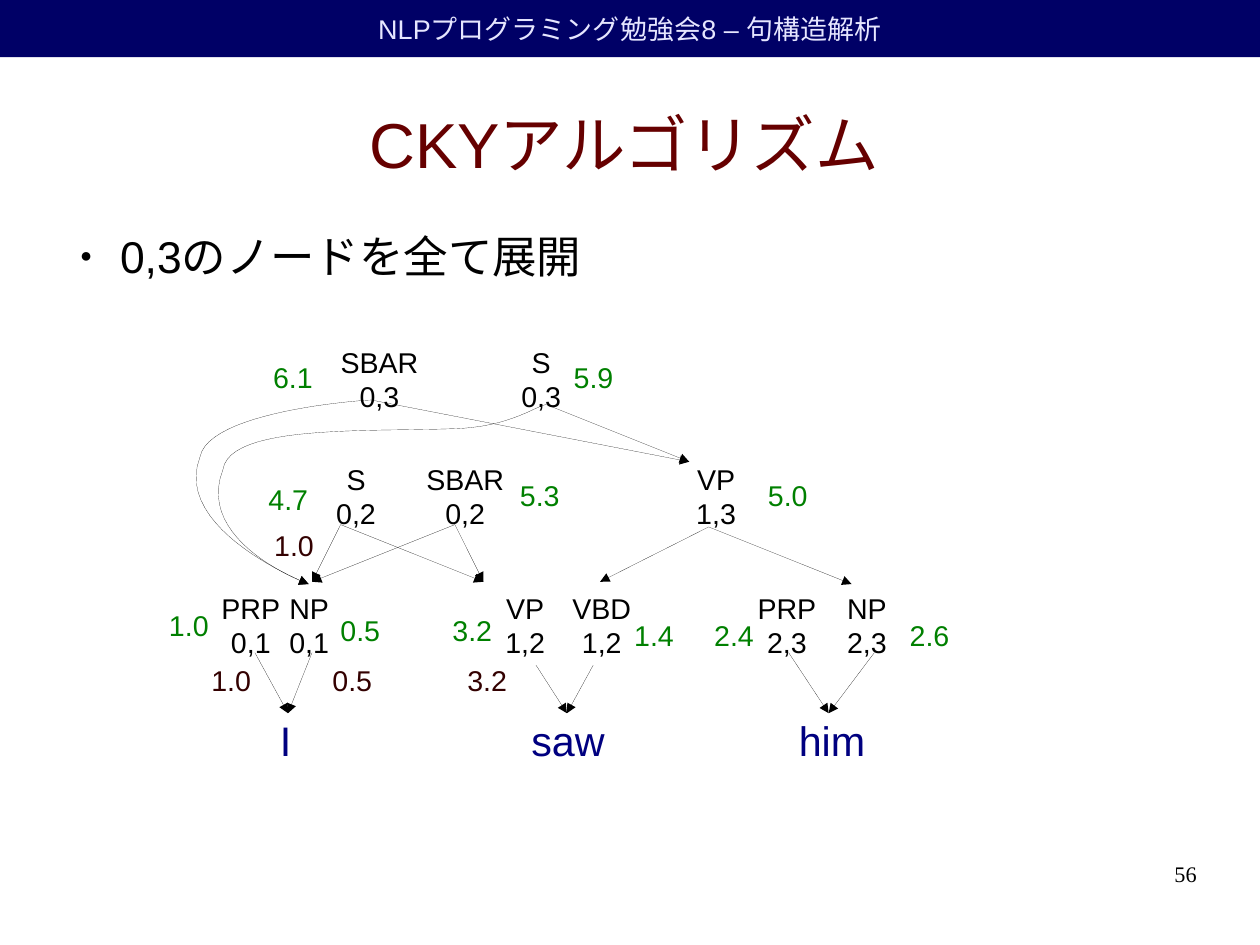
from lxml.etree import SubElement
from pptx import Presentation
from pptx.dml.color import RGBColor
from pptx.enum.shapes import MSO_CONNECTOR, MSO_SHAPE
from pptx.enum.text import MSO_ANCHOR, MSO_AUTO_SIZE, PP_ALIGN
from pptx.oxml.ns import qn
from pptx.util import Inches, Pt

SLIDE_WIDTH, SLIDE_HEIGHT = 28 / 2.54, 21 / 2.54
BLACK, NAVY, GREEN, BROWN = "000000", "000080", "008000", "330000"
ROW_TOPS = {"0,3": 0, "0,2": 1.02, "1,3": 1.02, "0,1": 2.15, "1,2": 2.15, "2,3": 2.15}
LABEL_WIDTHS = {1: 0.55, 2: 0.55, 3: 0.73, 4: 0.88}

# label, span, left
NODES = [
    ("SBAR", "0,3", 1.88), ("S", "0,3", 3.46),
    ("S", "0,2", 1.84), ("SBAR", "0,2", 2.63), ("VP", "1,3", 4.99),
    ("PRP", "0,1", 0.83), ("NP", "0,1", 1.43), ("VP", "1,2", 3.32),
    ("VBD", "1,2", 3.9), ("PRP", "2,3", 5.52), ("NP", "2,3", 6.31),
]
# word, centre x
WORDS = [("I", 1.5), ("saw", 3.97), ("him", 6.28)]
# score, left, top
SCORES = {
    GREEN: [
        ("6.1", 1.29, 0.13), ("5.9", 3.92, 0.13),
        ("4.7", 1.25, 1.2), ("5.3", 3.45, 1.16), ("5.0", 5.62, 1.16),
        ("1.0", 0.38, 2.3), ("0.5", 1.88, 2.34), ("3.2", 2.86, 2.34),
        ("1.4", 4.45, 2.39), ("2.4", 5.15, 2.39), ("2.6", 6.86, 2.39),
    ],
    BROWN: [("1.0", 1.3, 1.6), ("1.0", 0.75, 2.78),
            ("0.5", 1.81, 2.78), ("3.2", 2.99, 2.78)],
}
# start point: end points
EDGES = {
    (2.25, 0.53): [(5.03, 1.07)],
    (3.78, 0.57): [(5.03, 1.07)],
    (1.98, 1.62): [(1.73, 2.12), (3.23, 2.12)],
    (2.98, 1.62): [(1.73, 2.12), (3.23, 2.12)],
    (5.2, 1.64): [(4.25, 2.12), (6.45, 2.14)],
    (1.23, 2.74): [(1.52, 3.27)],
    (1.73, 2.74): [(1.52, 3.27)],
    (3.69, 2.85): [(3.96, 3.27)],
    (4.19, 2.85): [(3.96, 3.27)],
    (5.9, 2.74): [(6.25, 3.27)],
    (6.65, 2.74): [(6.25, 3.27)],
}
# start point, then two control points and an end point for each bend
CURVED_EDGES = [
    [(2.25, 0.53), (2.16, 0.53), (0.82, 0.63), (0.75, 1.03),
     (0.5, 1.67), (1.7, 2.14), (1.7, 2.14)],
    [(3.78, 0.57), (3.69, 0.58), (3.47, 0.76), (3, 0.78),
     (2.22, 0.81), (1.01, 0.74), (0.95, 1.14),
     (0.7, 1.78), (1.7, 2.14), (1.7, 2.14)],
]


def color(value):
    return RGBColor.from_string(value)


def style(paragraph, size, value, align=PP_ALIGN.LEFT, font="Arial"):
    paragraph.alignment = align
    for run in paragraph.runs:
        run.font.name = font
        run.font.size = Pt(size)
        run.font.color.rgb = color(value)


def add_label(slide, text, box, size, value, align=PP_ALIGN.LEFT):
    """Add an unwrapped diagram label that fits its text."""
    frame = slide.shapes.add_textbox(*map(Inches, box)).text_frame
    frame.word_wrap = False
    frame.auto_size = MSO_AUTO_SIZE.SHAPE_TO_FIT_TEXT
    frame.text = text
    for paragraph in frame.paragraphs:
        style(paragraph, size, value, align)


def add_text_area(slide, text, box, anchor=MSO_ANCHOR.TOP):
    """Add a wrapped text area without margins and return its paragraph."""
    frame = slide.shapes.add_textbox(*map(Inches, box)).text_frame
    frame.word_wrap = True
    frame.vertical_anchor = anchor
    frame.margin_left = frame.margin_right = 0
    frame.margin_top = frame.margin_bottom = 0
    frame.text = text
    return frame.paragraphs[0]


def style_arrow(edge):
    """Give the edge a hairline with an arrowhead at its end."""
    edge.line.color.rgb = color(BLACK)
    hairline = edge.line._get_or_add_ln()
    hairline.set("w", "0")
    SubElement(hairline, qn("a:tailEnd"), type="triangle")


def curve_points(knots, steps=24):
    """Yield points along a chain of cubic Bezier bends."""
    for first in range(0, len(knots) - 1, 3):
        bend = knots[first:first + 4]
        for step in range(1, steps + 1):
            t = step / steps
            weights = ((1 - t) ** 3, 3 * t * (1 - t) ** 2, 3 * t * t * (1 - t), t ** 3)
            yield tuple(sum(w * knot[axis] for w, knot in zip(weights, bend))
                        for axis in (0, 1))


def add_header(slide, box):
    banner = slide.shapes.add_shape(MSO_SHAPE.RECTANGLE, *map(Inches, box))
    banner.shadow.inherit = False
    banner.fill.solid()
    banner.fill.fore_color.rgb = color("000066")
    banner.line.fill.background()
    banner.text_frame.vertical_anchor = MSO_ANCHOR.MIDDLE
    banner.text_frame.text = "NLPプログラミング勉強会8 – 句構造解析"
    style(banner.text_frame.paragraphs[0], 17, "E6E6FF", PP_ALIGN.CENTER)


def add_title(slide, box):
    title = add_text_area(slide, "CKYアルゴリズム", box, MSO_ANCHOR.MIDDLE)
    style(title, 40, "660000", PP_ALIGN.CENTER)


def add_bullet(slide, box):
    bullet = add_text_area(slide, "0,3のノードを全て展開", box)
    properties = bullet._p.get_or_add_pPr()
    properties.set("marL", str(Inches(0.47)))
    properties.set("indent", str(Inches(-0.35)))
    SubElement(SubElement(properties, qn("a:buClr")), qn("a:srgbClr"), val=BLACK)
    SubElement(properties, qn("a:buSzPct"), val="45000")
    SubElement(properties, qn("a:buFont"), typeface="Arial")
    SubElement(properties, qn("a:buChar"), char="●")
    style(bullet, 28, BLACK)


def add_parse_chart(slide, left, top):
    def place(point):
        return Inches(left + point[0]), Inches(top + point[1])

    for start, ends in EDGES.items():
        for end in ends:
            edge = slide.shapes.add_connector(
                MSO_CONNECTOR.STRAIGHT, *place(start), *place(end))
            style_arrow(edge)
            SubElement(edge._element.spPr, qn("a:effectLst"))

    for knots in CURVED_EDGES:
        outline = slide.shapes.build_freeform(*place(knots[0]))
        outline.add_line_segments([place(p) for p in curve_points(knots)], close=False)
        edge = outline.convert_to_shape()
        edge.shadow.inherit = False
        edge.fill.background()
        style_arrow(edge)

    for label, span, x in NODES:
        box = (left + x, top + ROW_TOPS[span], LABEL_WIDTHS[len(label)], 0.66)
        add_label(slide, f"{label}\n{span}", box, 18, BLACK, PP_ALIGN.CENTER)
    for value, scores in SCORES.items():
        for score, x, y in scores:
            add_label(slide, score, (left + x, top + y, 0.55, 0.38), 18, value)
    for word, centre in WORDS:
        box = (left + centre - 0.5, top + 3.24, 1, 0.5)
        add_label(slide, word, box, 26, NAVY, PP_ALIGN.CENTER)


def add_page_number(slide, box):
    style(add_text_area(slide, "56", box), 14, BLACK, PP_ALIGN.RIGHT, "Times New Roman")


def main():
    deck = Presentation()
    deck.slide_width = Inches(SLIDE_WIDTH)
    deck.slide_height = Inches(SLIDE_HEIGHT)
    slide = deck.slides.add_slide(deck.slide_layouts[6])
    add_header(slide, (0, 0, SLIDE_WIDTH, 0.5))
    add_title(slide, (0.5, 0.62, 9.92, 1.27))
    add_bullet(slide, (0.58, 2, 9.92, 0.56))
    add_parse_chart(slide, 1, 2.97)
    add_page_number(slide, (7.9, 7.53, 2.57, 0.57))
    deck.save("out.pptx")


if __name__ == "__main__":
    main()
